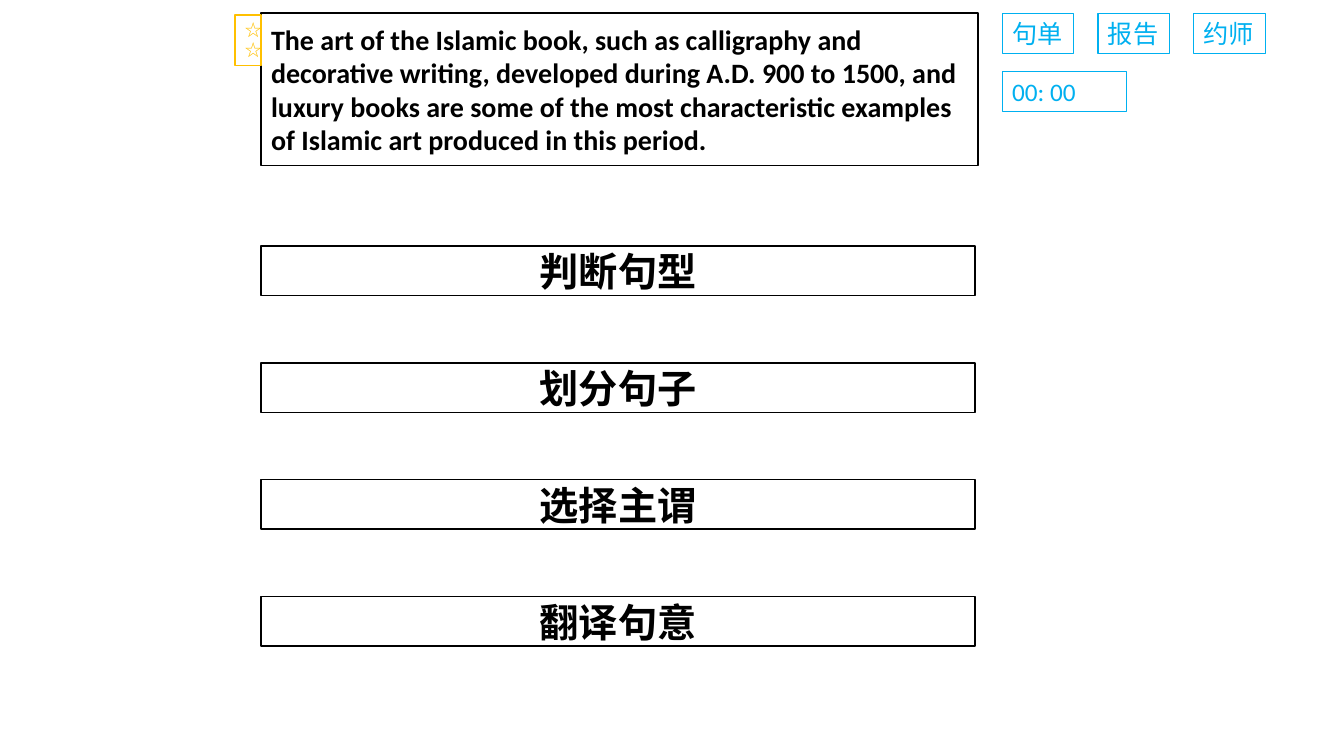
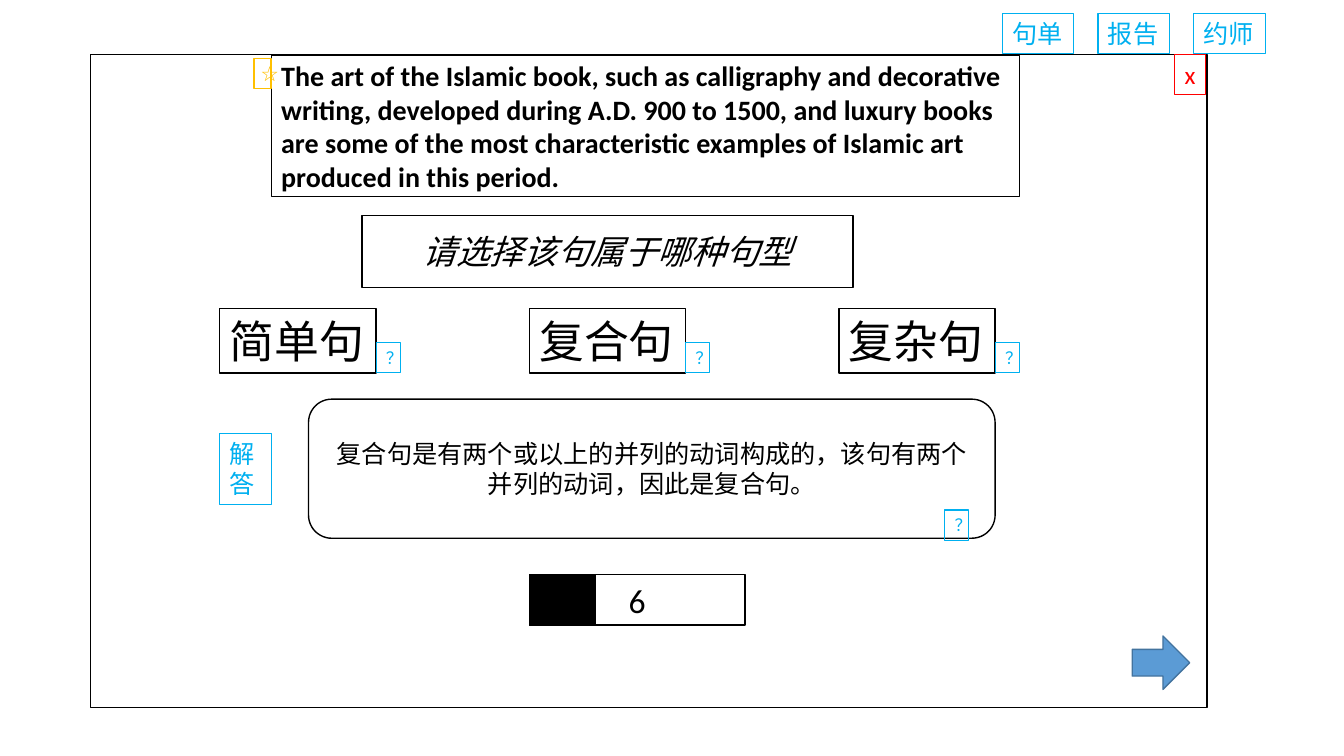
import pptx
import pptx.util
import pptx.dml.color
import pptx.enum.shapes
import pptx.enum.text
import pptx.oxml.ns
from lxml import etree

Inches = pptx.util.Inches
Pt = pptx.util.Pt
RGBColor = pptx.dml.color.RGBColor
Shape = pptx.enum.shapes.MSO_SHAPE
Align = pptx.enum.text.PP_ALIGN
Anchor = pptx.enum.text.MSO_ANCHOR
AutoSize = pptx.enum.text.MSO_AUTO_SIZE

BLACK = RGBColor(0x00, 0x00, 0x00)
WHITE = RGBColor(0xFF, 0xFF, 0xFF)
CYAN = RGBColor(0x00, 0xB0, 0xF0)
GOLD = RGBColor(0xFF, 0xC0, 0x00)
RED = RGBColor(0xFF, 0x00, 0x00)
BLUE = RGBColor(0x5B, 0x9B, 0xD5)
DARK_BLUE = RGBColor(0x43, 0x73, 0x9E)

LATIN_FONT = "Calibri"
CHINESE_FONT = "Noto Sans CJK SC"
SENTENCE = (
    "The art of the Islamic book, such as calligraphy and decorative writing, "
    "developed during A.D. 900 to 1500, and luxury books are some of the most "
    "characteristic examples of Islamic art produced in this period."
)


def add_box(slide, left, top, width, height, text="", size=18, color=BLACK,
            fill=WHITE, line=BLACK, weight=1, kind=Shape.RECTANGLE,
            align=Align.CENTER, fit=False, wrap=True, bold=False,
            italic=False, font=LATIN_FONT):
    """Add an outlined shape; fit makes it hug top-anchored text."""
    box = slide.shapes.add_shape(
        kind, Inches(left), Inches(top), Inches(width), Inches(height))
    box.shadow.inherit = False
    if fill is None:
        box.fill.background()
    else:
        box.fill.solid()
        box.fill.fore_color.rgb = fill
    box.line.color.rgb = line
    box.line.width = Pt(weight)
    if not text:
        return
    frame = box.text_frame
    frame.text = text
    frame.word_wrap = wrap
    frame.vertical_anchor = Anchor.TOP if fit else Anchor.MIDDLE
    frame.auto_size = AutoSize.SHAPE_TO_FIT_TEXT if fit else AutoSize.NONE
    for para in frame.paragraphs:
        para.alignment = align
        for span in para.runs:
            span.font.size = Pt(size)
            span.font.bold = bold
            span.font.italic = italic
            span.font.color.rgb = color
            span.font.name = font
            east_asian = etree.SubElement(
                span.font._element, pptx.oxml.ns.qn("a:ea"))
            east_asian.set("typeface", CHINESE_FONT)


# Shared styles
LABEL = dict(color=CYAN, line=CYAN, weight=0.75, fill=None,
             align=Align.LEFT, fit=True)
HELP = dict(LABEL, text="？", size=12)
STARS = dict(size=12, color=GOLD, line=GOLD, fit=True, font=CHINESE_FONT)
QUOTE = dict(text=SENTENCE, size=20, bold=True, align=Align.LEFT)

deck = pptx.Presentation()
deck.slide_width = Inches(13.33)
deck.slide_height = Inches(7.5)
blank = deck.slide_layouts[6]
menu_slide = deck.slides.add_slide(blank)
question_slide = deck.slides.add_slide(blank)

# Navigation labels on both slides
for slide in (menu_slide, question_slide):
    for index, text in enumerate(("句单", "报告", "约师")):
        add_box(slide, 9.94 + 0.95 * index, 0.13, 0.71, 0.4, text,
                wrap=False, **LABEL)

# Slide 1: sentence, difficulty, timer and four tasks
add_box(menu_slide, 2.59, 0.13, 7.11, 1.51, **QUOTE)
add_box(menu_slide, 2.33, 0.15, 0.26, 0.5, "☆☆", **STARS)
add_box(menu_slide, 9.94, 0.71, 1.23, 0.4, "00: 00", **LABEL)
for index, task in enumerate(("判断句型", "划分句子", "选择主谓", "翻译句意")):
    add_box(menu_slide, 2.59, 2.44 + 1.16 * index, 7.08, 0.49, task,
            size=28, bold=True)

# Slide 2: panel with close button, sentence and prompt
add_box(question_slide, 0.9, 0.54, 11.07, 6.48)
add_box(question_slide, 11.65, 0.54, 0.31, 0.4, "x", wrap=False,
        **dict(LABEL, color=RED, line=RED))
add_box(question_slide, 2.69, 0.55, 7.42, 1.4, **QUOTE)
add_box(question_slide, 2.52, 0.58, 0.17, 0.3, "☆", **STARS)
add_box(question_slide, 3.59, 2.14, 4.87, 0.71, "请选择该句属于哪种句型",
        size=24, italic=True)

# Answer choices, each with a help button
for index, choice in enumerate(("简单句", "复合句", "复杂句")):
    left = 2.18 + 3.07 * index
    add_box(question_slide, left, 3.06, 1.55, 0.64, choice, size=32,
            align=Align.LEFT, fit=True, wrap=False)
    add_box(question_slide, left + 1.55, 3.4, 0.24, 0.3, **HELP)

# Explanation
add_box(question_slide, 2.18, 4.3, 0.51, 0.71, "解\n答", **LABEL)
add_box(question_slide, 3.06, 3.96, 6.81, 1.38,
        "复合句是有两个或以上的并列的动词构成的，该句有两个并列的动词，因此是复合句。",
        kind=Shape.ROUNDED_RECTANGLE)
add_box(question_slide, 9.37, 5.06, 0.24, 0.3, **HELP)

# Progress bar and next arrow
add_box(question_slide, 5.25, 5.7, 2.14, 0.5, "6", size=24, fit=True)
add_box(question_slide, 5.25, 5.7, 0.65, 0.5, fill=BLACK)
add_box(question_slide, 11.23, 6.31, 0.57, 0.53, fill=BLUE, line=DARK_BLUE,
        kind=Shape.RIGHT_ARROW)

deck.save("out.pptx")
